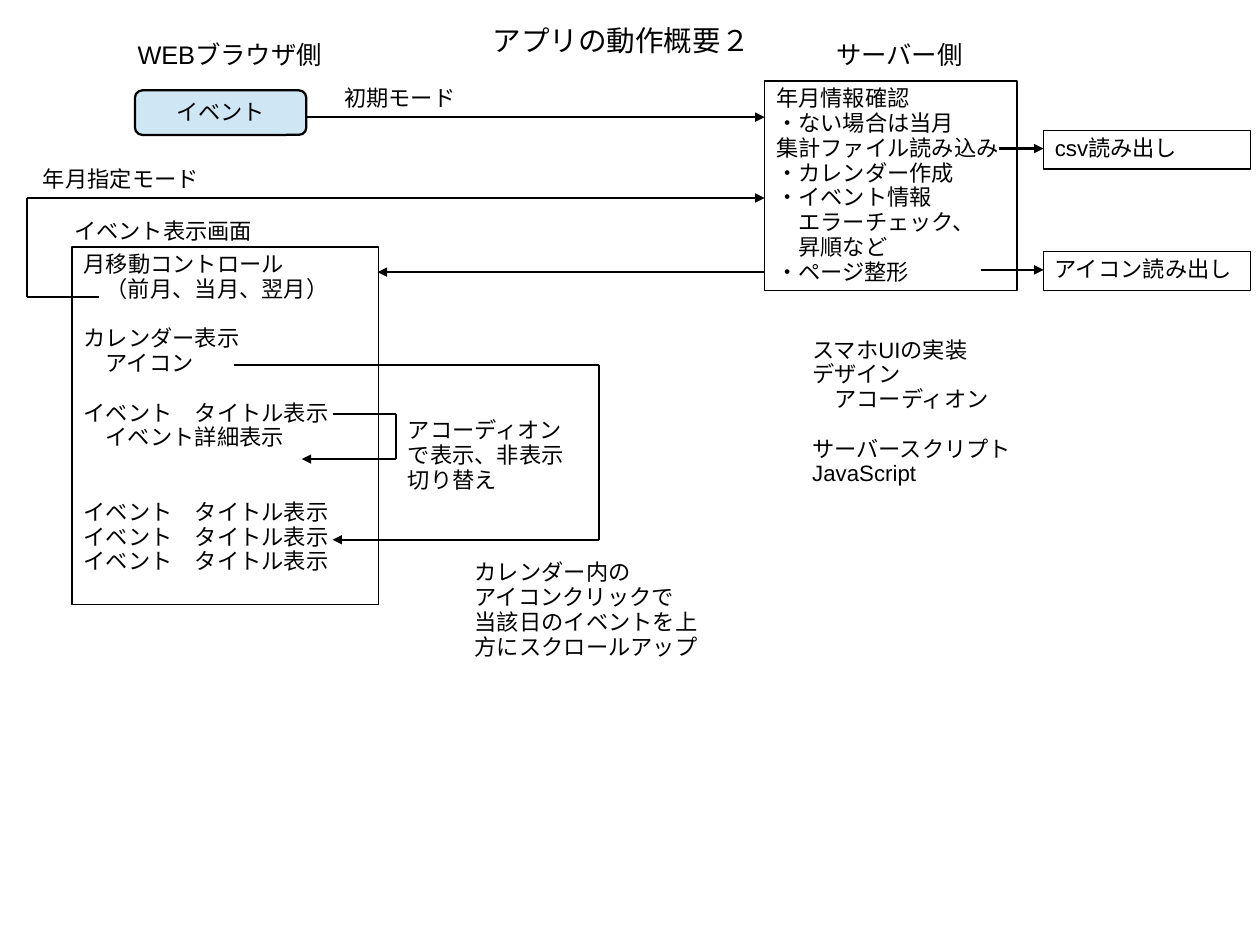
from itertools import pairwise

from lxml.etree import SubElement
from pptx import Presentation
from pptx.dml.color import RGBColor as RGB
from pptx.enum.shapes import MSO_CONNECTOR as CONNECTOR, MSO_SHAPE as SHAPE
from pptx.enum.text import MSO_ANCHOR as ANCHOR, MSO_AUTO_SIZE as AUTO, PP_ALIGN as ALIGN
from pptx.oxml.ns import qn
from pptx.util import Pt

THEME = {
    "font": "Arial", "ink": RGB(0, 0, 0), "event": RGB(0xCF, 0xE7, 0xF5),
    "title": 18, "heading": 16, "text": 14,
    "arrow": 1.42, "frame": 0.85, "box": 0.75,
    "spacing": 0.93, "row": 15.6, "indent": 14,
}
FRAME = {
    "word_wrap": True, "auto_size": AUTO.NONE, "vertical_anchor": ANCHOR.TOP,
    "margin_left": Pt(7.2), "margin_right": Pt(7.2),
    "margin_top": Pt(3.6), "margin_bottom": Pt(3.6),
}

SLIDE_SIZE = (793.75, 595.25)
TITLE = "アプリの動作概要２"
EVENT = "イベント"
EVENT_TITLE = "イベント　タイトル表示"
SERVER_STEPS = [
    "年月情報確認", "・ない場合は当月", "集計ファイル読み込み", "・カレンダー作成",
    "・イベント情報", ("エラーチェック、", 1, 0), ("昇順など", 1, 0), "・ページ整形",
]
EVENT_SCREEN = [
    "月移動コントロール", ("（前月、当月、翌月）", 1, 0),
    ("カレンダー表示", 0, 1), ("アイコン", 1, 0),
    (EVENT_TITLE, 0, 1), ("イベント詳細表示", 1, 0),
    (EVENT_TITLE, 0, 2), EVENT_TITLE, EVENT_TITLE,
]
HEADINGS = [
    ("WEBブラウザ側", (65.5, 22.6, 158.4, 25.2)),
    ("サーバー側", (487.5, 22.7, 158.4, 25.2)),
]
FILE_READS = [
    ("csv読み出し", (657.4, 82.3, 130.3, 24.2)),
    ("アイコン読み出し", (657.4, 158.6, 130.3, 24.2)),
]
NOTES = [
    (["初期モード"], (209.8, 51.1, 96.5, 38.2)),
    (["イベント表示画面"], (39.6, 134.6, 130.3, 23)),
    (["年月指定モード"], (20, 102.2, 116, 23)),
    (["スマホUIの実装", "デザイン", ("アコーディオン", 1, 0),
      ("サーバースクリプト", 0, 1), "JavaScript"], (504.6, 209.5, 158.4, 100.8)),
    (["カレンダー内の", "アイコンクリックで",
      "当該日のイベントを上方にスクロールアップ"], (292, 349.8, 158.4, 85)),
    (["アコーディオン", "で表示、非表示切り替え"], (249.8, 260.4, 118.8, 54)),
]
ROUTES = [
    [(193, 73.8), (481.7, 73.8)],
    [(617.8, 170), (657.4, 170)],
    [(481.7, 171.4), (237.9, 171.4)],
    [(629.3, 93.6), (657.4, 93.6)],
    [(62.6, 187), (17.2, 187), (17.2, 124.7), (481.7, 124.7)],
    [(147.6, 229.7), (377.3, 229.7), (377.3, 340), (209.5, 340)],
    [(209.5, 260.6), (249.5, 260.6), (249.5, 289.2), (190.1, 289.2)],
]


def place(part, area):
    for side, value in zip(("left", "top", "width", "height"), area):
        setattr(part, side, Pt(value))


def write(part, lines, size="text", align=ALIGN.LEFT, **changes):
    frame = part.text_frame
    for key, value in (FRAME | changes).items():
        setattr(frame, key, value)
    for row, line in enumerate(lines):
        words, level, gap = (line, 0, 0) if isinstance(line, str) else line
        paragraph = frame.add_paragraph() if row else frame.paragraphs[0]
        layout = {"alignment": align, "line_spacing": THEME["spacing"],
                  "space_before": Pt(THEME["row"] * gap)}
        for key, value in layout.items():
            setattr(paragraph, key, value)
        run = paragraph.add_run()
        run.text = words
        run.font.name = THEME["font"]
        run.font.size = Pt(THEME[size])
        run.font.color.rgb = THEME["ink"]
        props = paragraph._p.get_or_add_pPr()
        props.set("marL", str(Pt(THEME["indent"] * level)))
        props.set("indent", "0")
        SubElement(props, qn("a:buNone"))


def outline(part, weight):
    part.line.color.rgb = THEME["ink"]
    part.line.width = Pt(THEME[weight])


def add_box(shapes, kind, area, weight):
    box = shapes.add_shape(kind, *map(Pt, area))
    box.shadow.inherit = False
    box.fill.background()
    outline(box, weight)
    return box


def draw_route(shapes, points):
    for start, end in pairwise(points):
        leg = shapes.add_connector(CONNECTOR.STRAIGHT, *map(Pt, start + end))
        outline(leg, "arrow")
        SubElement(leg._element.spPr, qn("a:effectLst"))
    SubElement(leg.line._get_or_add_ln(), qn("a:tailEnd"), type="triangle")


def main():
    deck = Presentation()
    deck.slide_width, deck.slide_height = map(Pt, SLIDE_SIZE)
    slide = deck.slides.add_slide(deck.slide_layouts[3])
    shapes = slide.shapes

    title, server, screen = slide.placeholders
    place(title, (187.2, 11.5, 408.2, 31))
    write(title, [TITLE], "title", ALIGN.CENTER, margin_top=Pt(5))
    for part, lines, area in (
        (server, SERVER_STEPS, (481.7, 51.1, 159.1, 131.8)),
        (screen, EVENT_SCREEN, (45.4, 155.5, 193, 225.4)),
    ):
        place(part, area)
        outline(part, "frame")
        write(part, lines)

    event = add_box(shapes, SHAPE.ROUNDED_RECTANGLE, (85, 56.9, 108, 28.1), "arrow")
    event.fill.solid()
    event.fill.fore_color.rgb = THEME["event"]
    write(event, [EVENT], align=ALIGN.CENTER, vertical_anchor=ANCHOR.MIDDLE)

    for words, area in FILE_READS:
        write(add_box(shapes, SHAPE.RECTANGLE, area, "box"), [words])
    for words, area in HEADINGS:
        write(shapes.add_textbox(*map(Pt, area)), [words], "heading", ALIGN.CENTER)
    for lines, area in NOTES:
        write(shapes.add_textbox(*map(Pt, area)), lines)
    for points in ROUTES:
        draw_route(shapes, points)

    deck.save("out.pptx")


if __name__ == "__main__":
    main()
